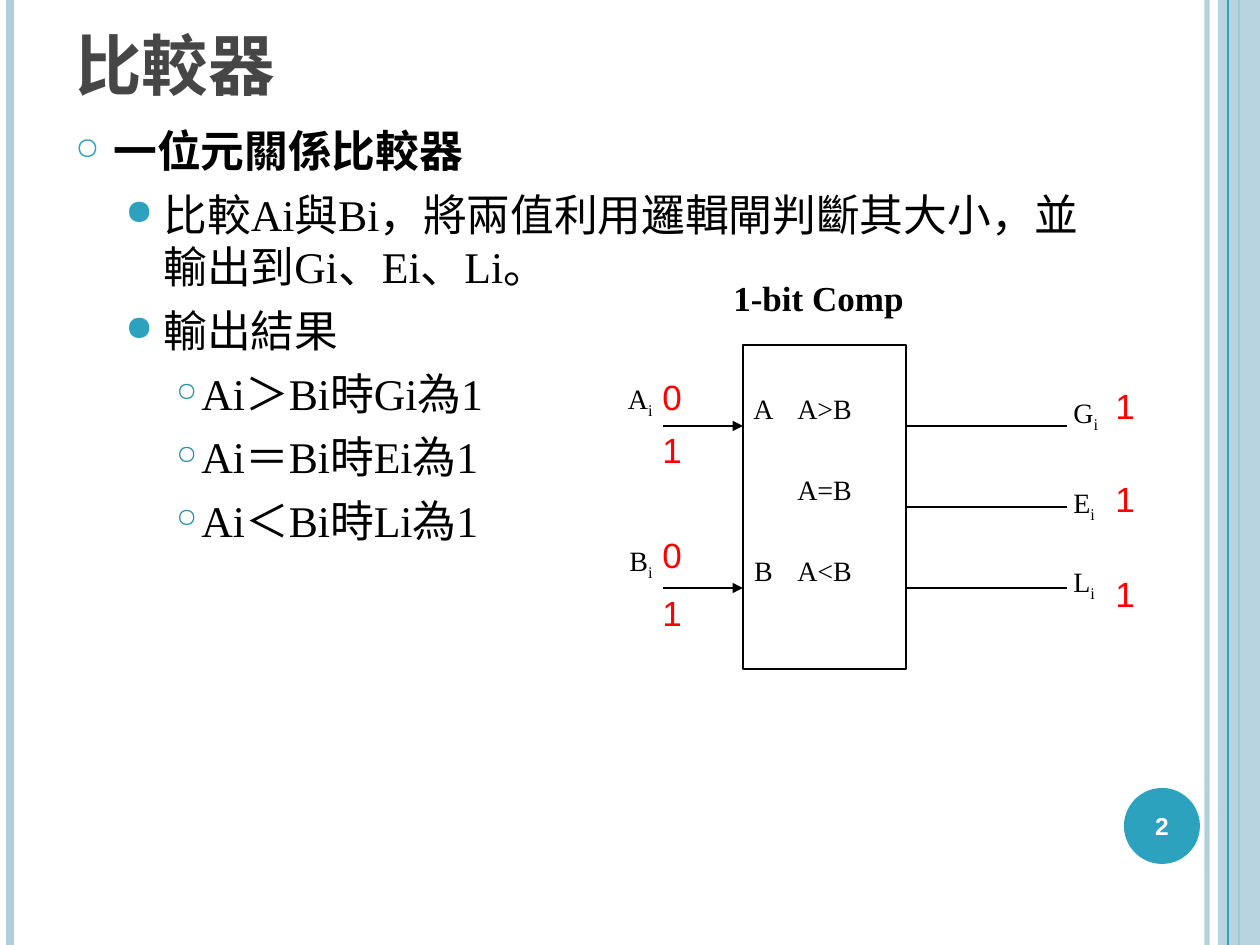
import pptx
import pptx.util
import pptx.dml.color
import pptx.enum.shapes
import pptx.enum.text
import pptx.oxml.ns
from lxml import etree

RGBColor = pptx.dml.color.RGBColor
SHAPE = pptx.enum.shapes.MSO_SHAPE
ALIGN = pptx.enum.text.PP_ALIGN
ANCHOR = pptx.enum.text.MSO_ANCHOR
Pt = pptx.util.Pt
qn = pptx.oxml.ns.qn

BLACK = RGBColor(0, 0, 0)
WHITE = RGBColor(255, 255, 255)
RED = RGBColor(255, 0, 0)
GRAY = RGBColor(0x46, 0x46, 0x46)
TEAL = RGBColor(0x2D, 0xA2, 0xBF)
DARK_TEAL = RGBColor(0x26, 0x8E, 0xA8)
PALE = RGBColor(0xAD, 0xCE, 0xDC)

SERIF = "Times New Roman"
SANS = "Arial"
CJK = "Noto Sans CJK SC"

WIDTH, HEIGHT = 1260, 945
ROWS = [426, 507, 588]
BOX_LEFT, BOX_RIGHT = 743, 906

# level: left margin, hanging indent, bullet, colour, size percent
BULLETS = [
    (38, 38, "○", TEAL, 70),
    (88, 38, "●", TEAL, 80),
    (126, 25, "○", DARK_TEAL, 60),
]
BODY = [
    (0, "一位元關係比較器"),
    (1, "比較Ai與Bi，將兩值利用邏輯閘判斷其大小，並輸出到Gi、Ei、Li。"),
    (1, "輸出結果"),
    (2, "Ai＞Bi時Gi為1"),
    (2, "Ai＝Bi時Ei為1"),
    (2, "Ai＜Bi時Li為1"),
]


def px(n):
    return round(n * 914400 / 126)


def set_alpha(sp, percent):
    for clr in sp._element.spPr.iter(qn("a:srgbClr")):
        etree.SubElement(clr, qn("a:alpha")).set("val", str(percent * 1000))


def add_line(s, x1, y1, x2, y2, color=BLACK, width=0.75, arrow=False):
    sp = s.shapes.add_connector(
        pptx.enum.shapes.MSO_CONNECTOR.STRAIGHT, px(x1), px(y1), px(x2), px(y2))
    sp.line.color.rgb = color
    sp.line.width = Pt(width)
    if arrow:
        etree.SubElement(sp.line._get_or_add_ln(), qn("a:tailEnd")).set("type", "triangle")
    etree.SubElement(sp._element.spPr, qn("a:effectLst"))
    return sp


def add_shape(s, kind, x, y, w, h, fill=None, line=None):
    sp = s.shapes.add_shape(kind, px(x), px(y), px(w), px(h))
    sp.shadow.inherit = False
    if fill is None:
        sp.fill.background()
    else:
        sp.fill.solid()
        sp.fill.fore_color.rgb = fill
    if line is None:
        sp.line.fill.background()
    else:
        sp.line.color.rgb = line
        sp.line.width = Pt(0.75)
    return sp


def add_frame(s, x, y, w, h, anchor=ANCHOR.TOP, wrap=True):
    tf = s.shapes.add_textbox(px(x), px(y), px(w), px(h)).text_frame
    tf.word_wrap = wrap
    tf.vertical_anchor = anchor
    return tf


def add_run(p, text):
    r = p.add_run()
    r.text = text
    etree.SubElement(r._r.get_or_add_rPr(), qn("a:ea")).set("typeface", CJK)
    return r


def set_font(p, size, name=SERIF, color=BLACK, bold=False):
    p.font.size = Pt(size)
    p.font.name = name
    p.font.color.rgb = color
    p.font.bold = bold


def add_label(s, x, y, w, h, text, size=16, name=SERIF, color=BLACK, bold=False,
              align=ALIGN.LEFT, sub="", anchor=ANCHOR.TOP, wrap=True):
    p = add_frame(s, x, y, w, h, anchor, wrap).paragraphs[0]
    p.alignment = align
    set_font(p, size, name, color, bold)
    add_run(p, text)
    if sub:
        add_run(p, sub).font._element.set("baseline", "-25000")


def set_bullet(p, level):
    margin, hang, char, color, size = BULLETS[level]
    pPr = p._p.get_or_add_pPr()
    pPr.set("marL", str(px(margin)))
    pPr.set("indent", str(-px(hang)))
    items = [etree.Element(qn(tag)) for tag in ("a:buClr", "a:buSzPct", "a:buChar")]
    etree.SubElement(items[0], qn("a:srgbClr")).set("val", str(color))
    items[1].set("val", str(size * 1000))
    items[2].set("char", char)
    at = pPr.index(pPr.find(qn("a:defRPr")))
    for i, item in enumerate(items):
        pPr.insert(at + i, item)


def add_body(s):
    tf = add_frame(s, 63, 118, 1029, 672)
    for i, (level, text) in enumerate(BODY):
        p = tf.paragraphs[0] if i == 0 else tf.add_paragraph()
        p.level = level
        p.line_spacing = Pt(30)
        p.space_before = Pt(6.2 if i else 6)
        set_font(p, 25, bold=level == 0)
        set_bullet(p, level)
        add_run(p, text)


def add_decoration(s):
    set_alpha(add_line(s, 1207, 0, 1207, HEIGHT, PALE, 3), 93)
    add_line(s, 10, 0, 10, HEIGHT, PALE, 4.5)
    add_line(s, 1239, 0, 1239, HEIGHT, TEAL, 1.5)
    set_alpha(add_shape(s, SHAPE.RECTANGLE, 1218, 0, 42, HEIGHT, PALE), 87)
    add_line(s, 1228, 0, 1228, HEIGHT, TEAL)
    add_shape(s, SHAPE.OVAL, 1124, 788, 76, 76, TEAL)


def add_comparator(s):
    add_shape(s, SHAPE.RECTANGLE, BOX_LEFT, 345, BOX_RIGHT - BOX_LEFT, 324, line=BLACK)
    add_label(s, 697, 270, 243, 62, "1-bit Comp", 20, bold=True, align=ALIGN.CENTER)
    for y, text in zip(ROWS, ("A>B", "A=B", "A<B")):
        add_line(s, BOX_RIGHT, y, 1067, y)
        add_label(s, 785, y - 41, 161, 121, text)
    for y, text in zip(ROWS[::2], "AB"):
        add_line(s, 663, y, BOX_LEFT, y, arrow=True)
        add_label(s, 544, y - 51, 121, 121, text, sub="i", align=ALIGN.RIGHT)
        add_label(s, 703, y - 41, 121, 121, text, align=ALIGN.CENTER)
    for y, text in zip((389, 479, 558), "GEL"):
        add_label(s, 1061, y, 121, 121, text, sub="i")


def add_signals(s):
    inputs = [(650, 369, "0"), (650, 422, "1"), (650, 527, "0"), (650, 585, "1")]
    outputs = [(1103, y, "1") for y in (378, 471, 566)]
    for x, y, text in inputs + outputs:
        add_label(s, x, y, 44, 55, text, 20, SANS, RED, wrap=False)


def main():
    prs = pptx.Presentation()
    prs.slide_width, prs.slide_height = px(WIDTH), px(HEIGHT)
    s = prs.slides.add_slide(prs.slide_layouts[6])
    add_decoration(s)
    add_label(s, 63, 10, 1029, 100, "比較器", 38, CJK, GRAY, True, anchor=ANCHOR.BOTTOM)
    add_body(s)
    add_label(s, 1120, 790, 84, 72, "2", 14, SANS, WHITE, True,
              align=ALIGN.CENTER, anchor=ANCHOR.MIDDLE)
    add_comparator(s)
    add_signals(s)
    prs.save("out.pptx")


if __name__ == "__main__":
    main()
